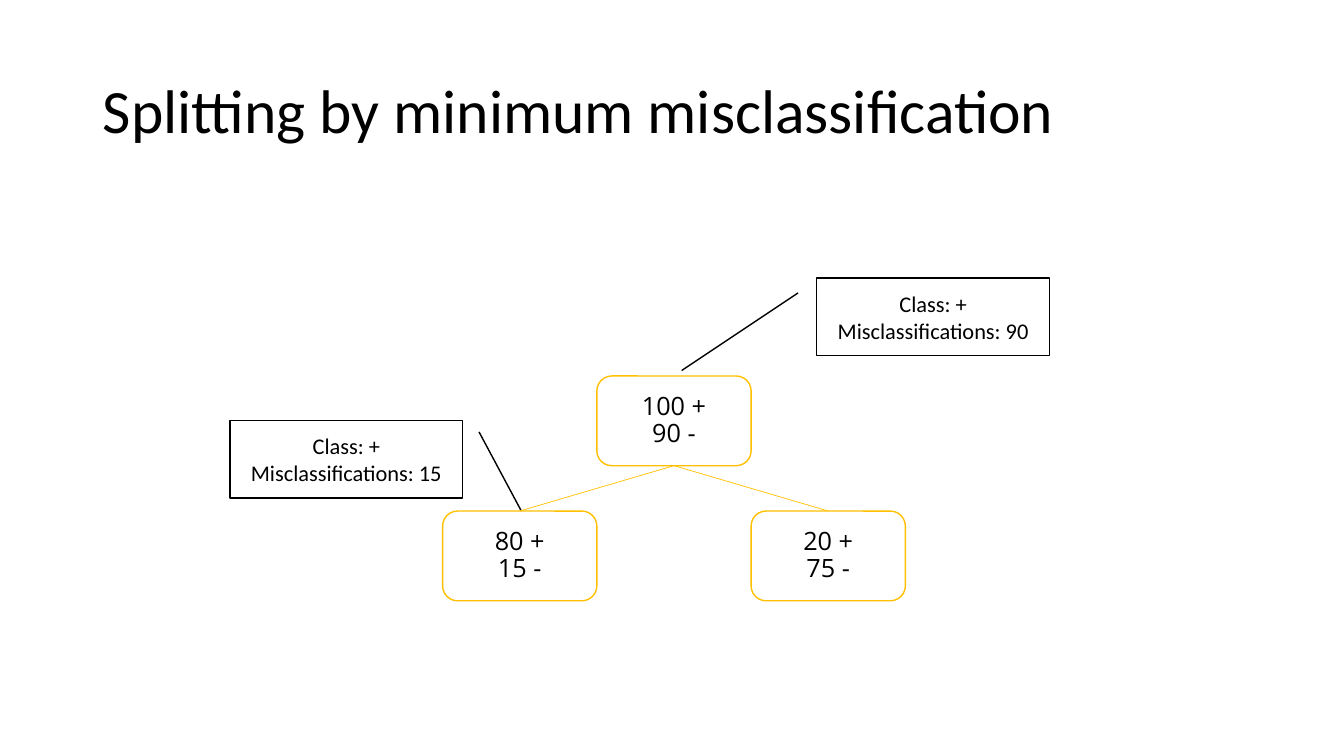
import pptx
import pptx.util
import pptx.dml.color
import pptx.enum.shapes
import pptx.enum.text
import pptx.oxml.ns
import lxml.etree

Inches, Pt = pptx.util.Inches, pptx.util.Pt
KIND = pptx.enum.shapes.MSO_SHAPE
ALIGN = pptx.enum.text.PP_ALIGN
MIDDLE = pptx.enum.text.MSO_ANCHOR.MIDDLE
COLORS = {"text": "000000", "fill": "FFFFFF", "node": "FFC000", "note": "000000"}


def color(name):
    return pptx.dml.color.RGBColor.from_string(COLORS[name])


def style(frame, text, font, size, align, space):
    frame.text = text
    frame.word_wrap = True
    frame.vertical_anchor = MIDDLE
    for para in frame.paragraphs:
        para.alignment = align
        para.line_spacing = space
        for run in para.runs:
            run.font.name = font
            run.font.size = Pt(size)
            run.font.color.rgb = color("text")


deck = pptx.Presentation()
deck.slide_width, deck.slide_height = Inches(13.33), Inches(7.5)
slide = deck.slides.add_slide(deck.slide_layouts[5])
shapes = slide.shapes

# Title
title = shapes.title
title.left, title.top = Inches(0.92), Inches(0.4)
title.width, title.height = Inches(11.5), Inches(1.45)
style(title.text_frame, "Splitting by minimum misclassification",
      "Calibri", 44, ALIGN.LEFT, 0.9)

# Tree nodes and callouts: kind, line, font, size, spacing, box, adjustments, text
NODE = (KIND.ROUNDED_RECTANGLE, "node", "Open Sans", 18, 0.9)
NOTE = (KIND.LINE_CALLOUT_1, "note", "Calibri", 16, 1.0)
WIDE, HIGH = 1.53, 0.89
ROOT = (5.92, 3.73)
LEAF_TOP = 5.07
leaves = [ROOT[0] - WIDE, ROOT[0] + WIDE]
items = [
    (NODE, (*ROOT, WIDE, HIGH), [], "100 +\n90 -"),
    (NODE, (leaves[0], LEAF_TOP, WIDE, HIGH), [], "80 +\n15 -"),
    (NODE, (leaves[1], LEAF_TOP, WIDE, HIGH), [], "20 +\n75 -"),
    (NOTE, (8.1, 2.76, 2.31, 0.77), [0.19, -0.08, 1.19, -0.58],
     "Class: +\nMisclassifications: 90"),
    (NOTE, (2.28, 4.17, 2.31, 0.77), [0.15, 1.07, 1.16, 1.25],
     "Class: +\nMisclassifications: 15"),
]
for (kind, line, font, size, space), box, adjust, text in items:
    shape = shapes.add_shape(kind, *map(Inches, box))
    shape.shadow.inherit = False
    shape.fill.solid()
    shape.fill.fore_color.rgb = color("fill")
    shape.line.color.rgb = color(line)
    shape.line.width = Pt(1)
    for index, value in enumerate(adjust):
        shape.adjustments[index] = value
    style(shape.text_frame, text, font, size, ALIGN.CENTER, space)

# Branches from the root to each leaf
for left in leaves:
    branch = shapes.add_connector(
        pptx.enum.shapes.MSO_CONNECTOR.STRAIGHT,
        Inches(ROOT[0] + WIDE / 2), Inches(ROOT[1] + HIGH),
        Inches(left + WIDE / 2), Inches(LEAF_TOP))
    branch.line.color.rgb = color("node")
    branch.line.width = Pt(0.5)
    lxml.etree.SubElement(branch.element.spPr, pptx.oxml.ns.qn("a:effectLst"))

deck.save("out.pptx")
